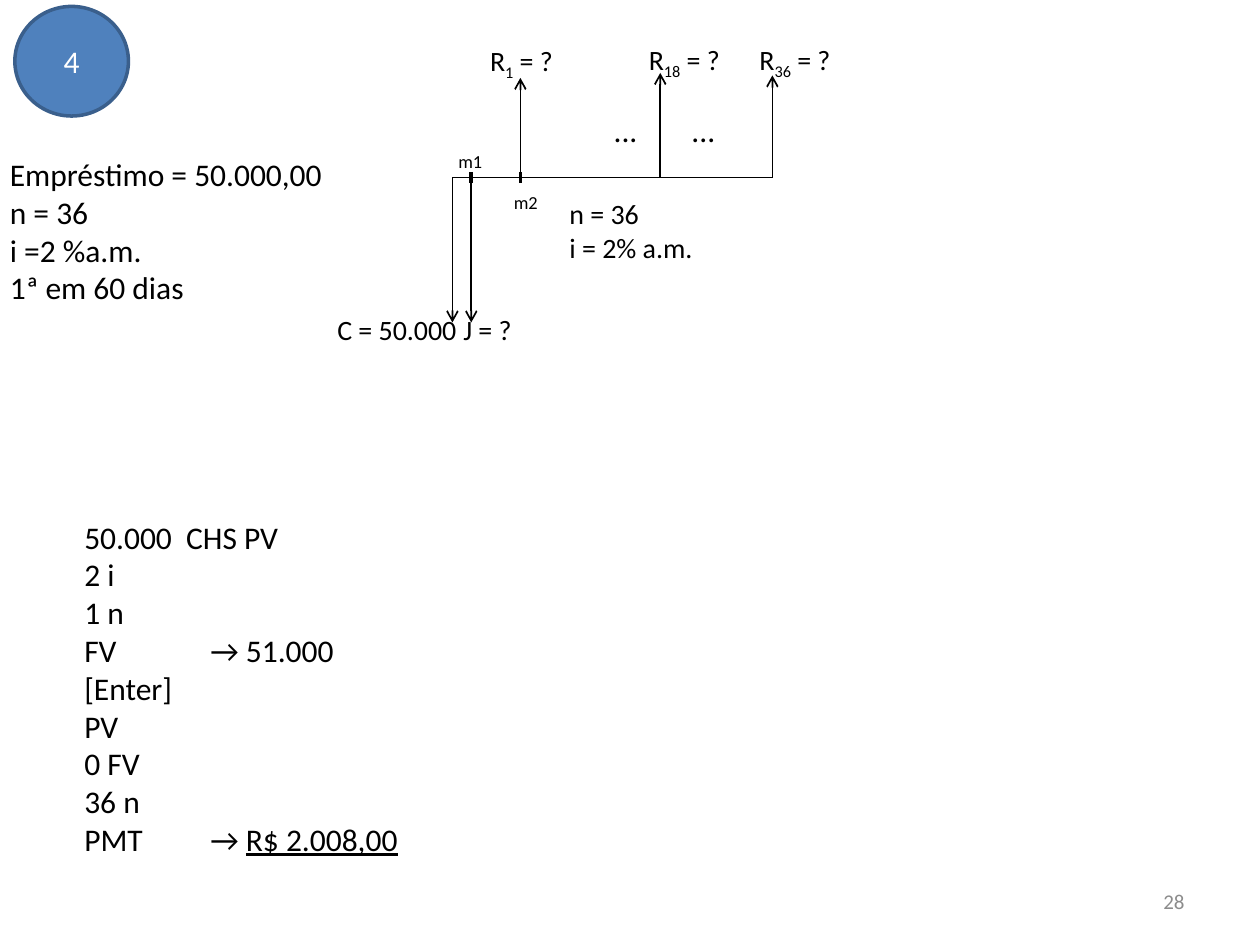
from collections import namedtuple

from lxml import etree
from pptx import Presentation
from pptx import util as u
from pptx.dml.color import RGBColor
from pptx.enum import shapes, text
from pptx.oxml.ns import qn

Box = namedtuple("Box", "left top width height")
BLACK = "000000"


def colour(value):
    return RGBColor.from_string(value)


def lengths(*values):
    return [u.Cm(value) for value in values]


def assign(target, values):
    for name, value in values.items():
        setattr(target, name, value)


def write_lines(frame, lines, size, ink=BLACK, align=text.PP_ALIGN.LEFT):
    for index, line in enumerate(lines):
        para = frame.paragraphs[0] if index == 0 else frame.add_paragraph()
        para.alignment = align
        for part in [line] if isinstance(line, str) else line:
            words, style = (part, None) if isinstance(part, str) else part
            span = para.add_run()
            span.text = words
            assign(span.font, {"name": "Calibri", "size": u.Pt(size)})
            span.font.color.rgb = colour(ink)
            if style == "sub":
                span.font._element.set("baseline", "-25000")
            elif style == "underline":
                span.font.underline = True


def add_text(page, box, lines, size):
    frame = page.shapes.add_textbox(*lengths(*box)).text_frame
    assign(frame, {"word_wrap": False, "auto_size": text.MSO_AUTO_SIZE.SHAPE_TO_FIT_TEXT})
    write_lines(frame, lines, size)


def add_line(page, start, end, width=1, arrow=False):
    line = page.shapes.add_connector(shapes.MSO_CONNECTOR.STRAIGHT, *lengths(*start, *end))
    line.line.color.rgb = colour(BLACK)
    line.line.width = u.Pt(width)
    if arrow:
        etree.SubElement(line.line._get_or_add_ln(), qn("a:tailEnd"), type="arrow")
    etree.SubElement(line._element.spPr, qn("a:effectLst"))


def add_badge(page, box, number):
    badge = page.shapes.add_shape(shapes.MSO_SHAPE.OVAL, *lengths(*box))
    badge.shadow.inherit = False
    badge.fill.solid()
    badge.fill.fore_color.rgb = colour("4F81BD")
    badge.line.color.rgb = colour("3A5F8C")
    badge.line.width = u.Pt(2)
    badge.text_frame.vertical_anchor = text.MSO_ANCHOR.MIDDLE
    write_lines(badge.text_frame, [number], 18, "FFFFFF", text.PP_ALIGN.CENTER)


def add_cash_flow(page, box):
    def at(x, y):
        return box.left + x, box.top + y

    axis = 2.88
    loan, month1, month2, middle, last = 2.62, 3, 3.99, 6.81, 9.07

    add_line(page, at(loan, axis), at(last, axis))
    for x, tip in ((loan, 5.8), (month1, 5.8), (month2, 0.87), (middle, 0.77), (last, 0.82)):
        add_line(page, at(x, axis), at(x, tip), arrow=True)
    for x in (month1, month2):
        add_line(page, at(x, axis - 0.11), at(x, axis + 0.11), 2)

    for index, x, y, width in (("1", 3.13, 0.06, 1.83), ("18", 6.33, 0.04, 2.01), ("36", 8.56, 0.04, 2.01)):
        add_text(page, Box(*at(x, y), width, 0.94), [["R", (index, "sub"), " = ?"]], 16)
    for words, x, y, width, height, size in (
        ("C = 50.000", 0.05, 5.47, 2.95, 0.94, 16),
        ("J = ?", 2.59, 5.47, 1.5, 0.94, 16),
        ("...", 5.62, 1.41, 0.99, 1.02, 18),
        ("...", 7.19, 1.41, 0.99, 1.02, 18),
        ("m1", 2.49, 2.2, 1.02, 0.72, 10.5),
        ("m2", 3.61, 3.03, 1, 0.72, 10.5),
    ):
        add_text(page, Box(*at(x, y), width, height), [words], size)
    add_text(page, Box(*at(4.73, 3.14), 3.02, 1.63), ["n = 36", "i = 2% a.m."], 16)


def add_loan_terms(page, box):
    add_text(page, box, ["Empréstimo = 50.000,00", "n = 36", "i =2 %a.m.", "1ª em 60 dias"], 18)


def add_calculator_steps(page, box):
    steps = [
        "50.000  CHS PV", "2 i", "1 n", "FV\t\t→ 51.000", "[Enter]", "PV", "0 FV", "36 n",
        ["PMT\t\t→ ", ("R$ 2.008,00", "underline")],
    ]
    add_text(page, box, steps, 18)


def add_page_number(page, box, number):
    frame = page.shapes.add_textbox(*lengths(*box)).text_frame
    assign(frame, {"word_wrap": True, "vertical_anchor": text.MSO_ANCHOR.MIDDLE})
    write_lines(frame, [number], 12, "8C8C8C", text.PP_ALIGN.RIGHT)


def main():
    deck = Presentation()
    assign(deck, {"slide_width": u.Cm(25.4), "slide_height": u.Cm(19.05)})
    page = deck.slides.add_slide(deck.slide_layouts.get_by_name("Blank"))
    add_cash_flow(page, Box(6.5, 0.7, 10.6, 6.4))
    add_loan_terms(page, Box(-0.05, 3, 6.88, 3.33))
    add_calculator_steps(page, Box(1.45, 10.31, 9.5, 7.19))
    add_badge(page, Box(0.3, 0.13, 2.29, 2.21), "4")
    add_page_number(page, Box(18.21, 17.65, 5.92, 1.02), "28")
    deck.save("out.pptx")


if __name__ == "__main__":
    main()
